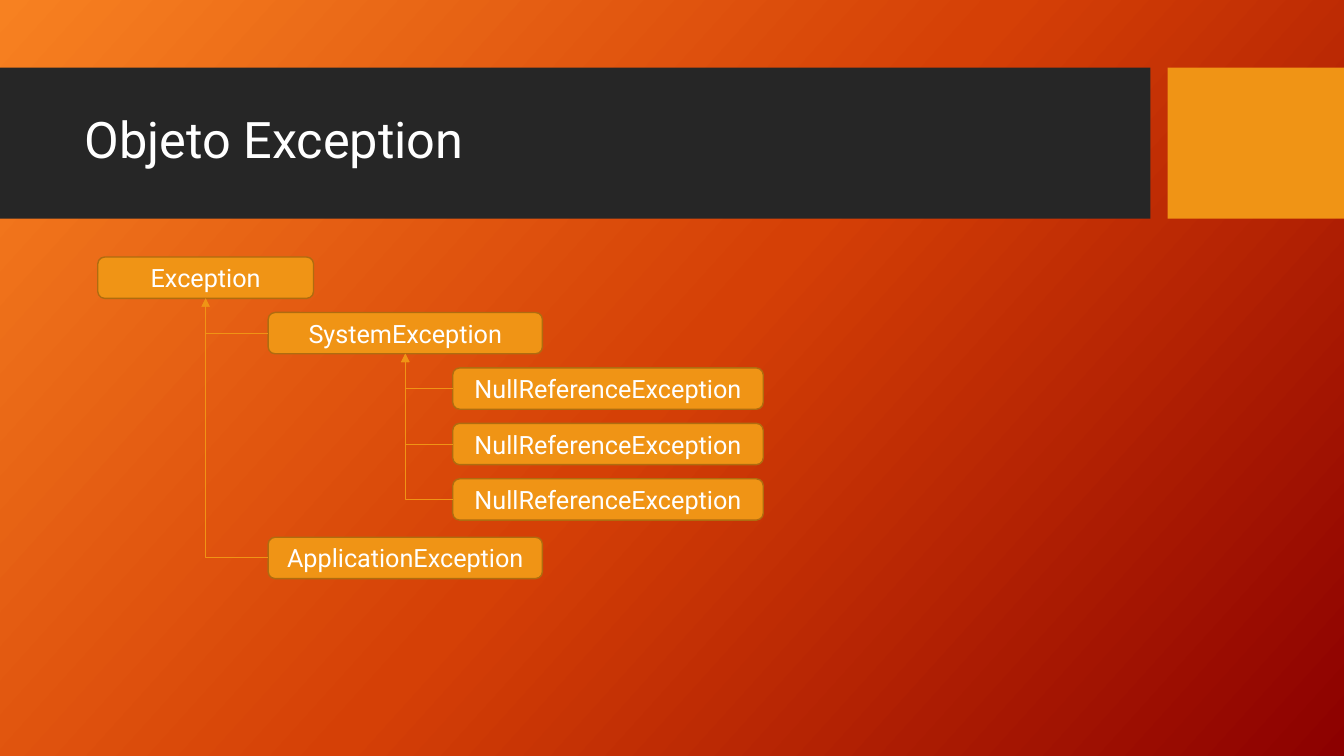
from copy import deepcopy
from dataclasses import dataclass

from lxml import etree
from pptx import Presentation
from pptx.dml.color import RGBColor
from pptx.enum import shapes, text
from pptx.oxml import ns
from pptx.util import Inches, Pt

TITLE = "Objeto Exception"
HIERARCHY = [
    ("Exception", 0, None),
    ("SystemException", 1, 0),
    ("NullReferenceException", 2, 1),
    ("NullReferenceException", 2, 1),
    ("NullReferenceException", 2, 1),
    ("ApplicationException", 1, 0),
]
LEVELS = [(0.97, 2.14), (2.66, 2.72), (4.49, 3.08)]
FIRST_TOP, ROW_PITCH, BOX_HEIGHT, BRANCH_GAP = 2.55, 0.55, 0.41, 0.03
BAND_TOP, BAND_HEIGHT = 0.67, 1.5


@dataclass(frozen=True)
class Theme:
    font: str = "Roboto"
    title_size: int = 36
    box_size: int = 18
    white: str = "FFFFFF"
    band: str = "262626"
    accent: str = "F09415"
    border: str = "AF6C0F"
    gradient: tuple = ((0, "F78121"), (0.5, "D54006"), (1, "8C0000"))
    gradient_angle: int = 42


THEME = Theme()


def rgb(value):
    return RGBColor.from_string(value)


def paint_background(page):
    fill = page.background.fill
    fill.gradient()
    fill.gradient_angle = 360 - THEME.gradient_angle
    stop_list = page.background._cSld.find(".//" + ns.qn("a:gsLst"))
    stop_list.append(deepcopy(stop_list[-1]))
    for stop, (position, color) in zip(fill.gradient_stops, THEME.gradient):
        stop.position = position
        stop.color.rgb = rgb(color)


def add_block(page, kind, left, top, width, height, color):
    block = page.shapes.add_shape(
        kind, Inches(left), Inches(top), Inches(width), Inches(height))
    block.shadow.inherit = False
    block.fill.solid()
    block.fill.fore_color.rgb = rgb(color)
    block.line.fill.background()
    return block


def write(shape, words, size, alignment):
    frame = shape.text_frame
    frame.word_wrap = True
    frame.auto_size = text.MSO_AUTO_SIZE.NONE
    frame.vertical_anchor = text.MSO_ANCHOR.MIDDLE
    para = frame.paragraphs[0]
    para.alignment = alignment
    span = para.add_run()
    span.text = words
    span.font.name = THEME.font
    span.font.size = Pt(size)
    span.font.color.rgb = rgb(THEME.white)
    return para


def add_title(page):
    title = page.shapes.title
    title.left, title.top = Inches(0.74), Inches(0.82)
    title.width, title.height = Inches(10.51), Inches(1.18)
    para = write(title, TITLE, THEME.title_size, text.PP_ALIGN.LEFT)
    para.line_spacing = 0.9
    page.shapes._spTree.append(title._element)


def add_box(page, row, name, level):
    left, width = LEVELS[level]
    top = FIRST_TOP + row * ROW_PITCH
    if row and level < HIERARCHY[row - 1][1]:
        top += BRANCH_GAP
    box = add_block(page, shapes.MSO_SHAPE.ROUNDED_RECTANGLE,
                    left, top, width, BOX_HEIGHT, THEME.accent)
    box.line.color.rgb = rgb(THEME.border)
    box.line.width = Pt(1)
    write(box, name, THEME.box_size, text.PP_ALIGN.CENTER)
    return box


def link(page, child, parent):
    line = page.shapes.add_connector(shapes.MSO_CONNECTOR.ELBOW, 0, 0, 0, 0)
    line.begin_connect(child, 1)
    line.end_connect(parent, 2)
    line.line.color.rgb = rgb(THEME.accent)
    line.line.width = Pt(0.75)
    properties = line._element.spPr
    properties.find(ns.qn("a:prstGeom")).set("prst", "bentConnector2")
    frame = properties.find(ns.qn("a:xfrm"))
    for flip in ("flipH", "flipV"):
        frame.attrib.pop(flip, None)
    frame.set("rot", "10800000")
    stroke = properties.find(ns.qn("a:ln"))
    etree.SubElement(stroke, ns.qn("a:tailEnd"), type="triangle")
    etree.SubElement(properties, ns.qn("a:effectLst"))


def main():
    deck = Presentation()
    deck.slide_width, deck.slide_height = Inches(13.33), Inches(7.5)
    page = deck.slides.add_slide(deck.slide_layouts[5])
    paint_background(page)
    for left, width, color in ((0, 11.41, THEME.band), (11.58, 1.75, THEME.accent)):
        add_block(page, shapes.MSO_SHAPE.RECTANGLE,
                  left, BAND_TOP, width, BAND_HEIGHT, color)
    add_title(page)
    boxes = [add_box(page, row, name, level)
             for row, (name, level, _) in enumerate(HIERARCHY)]
    for box, (_, _, parent) in zip(boxes, HIERARCHY):
        if parent is not None:
            link(page, box, boxes[parent])
    deck.save("out.pptx")


if __name__ == "__main__":
    main()
